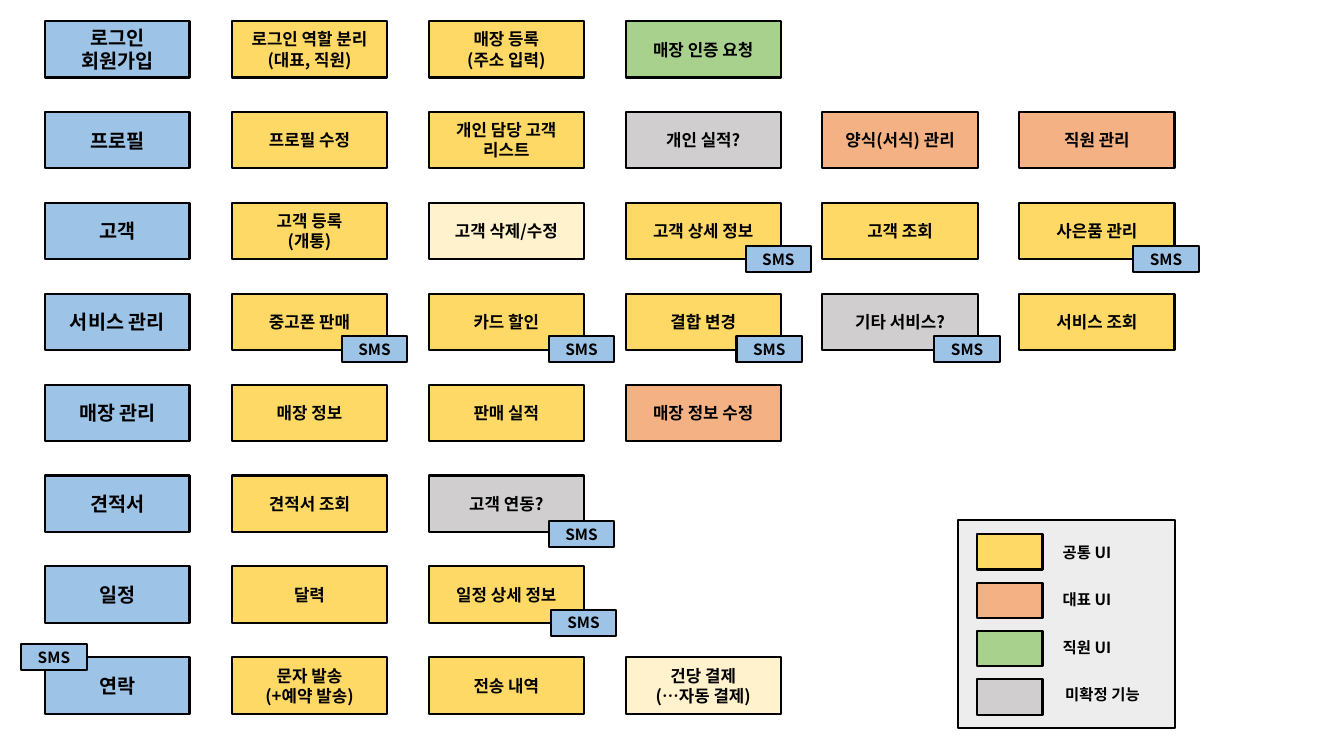
"""Builds a one-slide feature map of a store app, with SMS badges and a colour legend."""
from dataclasses import dataclass

import lxml.etree
import pptx
import pptx.dml.color
import pptx.enum.text
import pptx.oxml.ns
import pptx.util

ROWS = [
    ("로그인\n회원가입", [("로그인 역할 분리\n(대표, 직원)", "common"), ("매장 등록\n(주소 입력)", "common"),
                    ("매장 인증 요청", "staff")]),
    ("프로필", [("프로필 수정", "common"), ("개인 담당 고객 리스트", "common"), ("개인 실적?", "open"),
             ("양식(서식) 관리", "owner"), ("직원 관리", "owner")]),
    ("고객", [("고객 등록\n(개통)", "common"), ("고객 삭제/수정", "light"), ("고객 상세 정보", "common"),
            ("고객 조회", "common"), ("사은품 관리", "common")]),
    ("서비스 관리", [("중고폰 판매", "common"), ("카드 할인", "common"), ("결합 변경", "common"),
                ("기타 서비스?", "open"), ("서비스 조회", "common")]),
    ("매장 관리", [("매장 정보", "common"), ("판매 실적", "common"), ("매장 정보 수정", "owner")]),
    ("견적서", [("견적서 조회", "common"), ("고객 연동?", "open")]),
    ("일정", [("달력", "common"), ("일정 상세 정보", "common")]),
    ("연락", [("문자 발송\n(+예약 발송)", "common"), ("전송 내역", "common"), ("건당 결제\n(…자동 결제)", "light")]),
]
# row, column, offset from the box's corner
BADGES = [
    (2, 3, 1.19, 0.43), (2, 5, 1.13, 0.43),
    (3, 1, 1.09, 0.42), (3, 2, 1.19, 0.42), (3, 3, 1.1, 0.42), (3, 4, 1.11, 0.42),
    (5, 2, 1.19, 0.45), (6, 2, 1.21, 0.43), (7, 0, -0.24, -0.13),
]
LEGEND = [("공통 UI", "common", 0.74), ("대표 UI", "owner", 0.74),
          ("직원 UI", "staff", 0.74), ("미확정 기능", "open", 1.05)]


@dataclass(frozen=True)
class Theme:
    font: str = "Noto Sans CJK KR"
    ink: str = "000000"
    blue: str = "9DC3E6"
    common: str = "FFD966"
    owner: str = "F4B183"
    staff: str = "A9D18E"
    open: str = "D0CECE"
    light: str = "FFF2CC"
    panel: str = "EDEDED"
    category: float = 14
    feature: float = 12
    small: float = 11
    line: float = 1.5


THEME = Theme()
TOP, ROW_PITCH, BOX_H = 0.21, 6.31 / 7, 0.56
CATEGORY_X, CATEGORY_W = 0.45, 1.43
FEATURE_X, COL_PITCH, FEATURE_W = 2.3, 7.81 / 4, 1.54
BADGE_W, BADGE_H = 0.65, 0.26
PANEL = (9.5, 5.16, 2.15, 2.06)
SWATCH_X, SWATCH_Y, SWATCH_W, SWATCH_H, SWATCH_PITCH = 9.69, 5.3, 0.65, 0.35, 0.48
LABEL_X, LABEL_Y, LABEL_H, LABEL_PITCH = 10.41, 5.34, 0.29, 0.47


def corner(row, col):
    x = FEATURE_X + (col - 1) * COL_PITCH if col else CATEGORY_X
    return x, TOP + row * ROW_PITCH


def inches(*lengths):
    return [pptx.util.Inches(length) for length in lengths]


def rgb(value):
    return pptx.dml.color.RGBColor.from_string(value)


def write(tf, text, size):
    p = tf.paragraphs[0]
    p.alignment = pptx.enum.text.PP_ALIGN.CENTER
    for i, line in enumerate(text.split("\n")):
        if i:
            p.add_line_break()
        r = p.add_run()
        r.text = line
        r.font.size = pptx.util.Pt(size)
        r.font.bold = True
        r.font.name = THEME.font
        r.font.color.rgb = rgb(THEME.ink)
        ea = lxml.etree.SubElement(r.font._element, pptx.oxml.ns.qn("a:ea"))
        ea.set("typeface", THEME.font)


def add_box(s, x, y, w, h, fill, text="", size=THEME.feature):
    sp = s.shapes.add_shape(pptx.enum.shapes.MSO_SHAPE.RECTANGLE, *inches(x, y, w, h))
    sp.shadow.inherit = False
    sp.fill.solid()
    sp.fill.fore_color.rgb = rgb(fill)
    sp.line.color.rgb = rgb(THEME.ink)
    sp.line.width = pptx.util.Pt(THEME.line)
    if text:
        sp.text_frame.word_wrap = True
        sp.text_frame.vertical_anchor = pptx.enum.text.MSO_ANCHOR.MIDDLE
        write(sp.text_frame, text, size)


def add_label(s, x, y, w, h, text):
    tf = s.shapes.add_textbox(*inches(x, y, w, h)).text_frame
    tf.word_wrap = False
    tf.auto_size = pptx.enum.text.MSO_AUTO_SIZE.SHAPE_TO_FIT_TEXT
    write(tf, text, THEME.small)


def main():
    prs = pptx.Presentation()
    prs.slide_width, prs.slide_height = inches(13.33, 7.5)
    s = prs.slides.add_slide(prs.slide_layouts[6])

    add_box(s, *PANEL, THEME.panel)
    for row, (category, features) in enumerate(ROWS):
        add_box(s, *corner(row, 0), CATEGORY_W, BOX_H, THEME.blue, category, THEME.category)
        for col, (text, kind) in enumerate(features, 1):
            add_box(s, *corner(row, col), FEATURE_W, BOX_H, getattr(THEME, kind), text)

    for row, col, dx, dy in BADGES:
        x, y = corner(row, col)
        add_box(s, x + dx, y + dy, BADGE_W, BADGE_H, THEME.blue, "SMS", THEME.small)

    for i, (text, kind, width) in enumerate(LEGEND):
        add_box(s, SWATCH_X, SWATCH_Y + i * SWATCH_PITCH, SWATCH_W, SWATCH_H, getattr(THEME, kind))
        add_label(s, LABEL_X, LABEL_Y + i * LABEL_PITCH, width, LABEL_H, text)

    prs.save("out.pptx")


if __name__ == "__main__":
    main()
